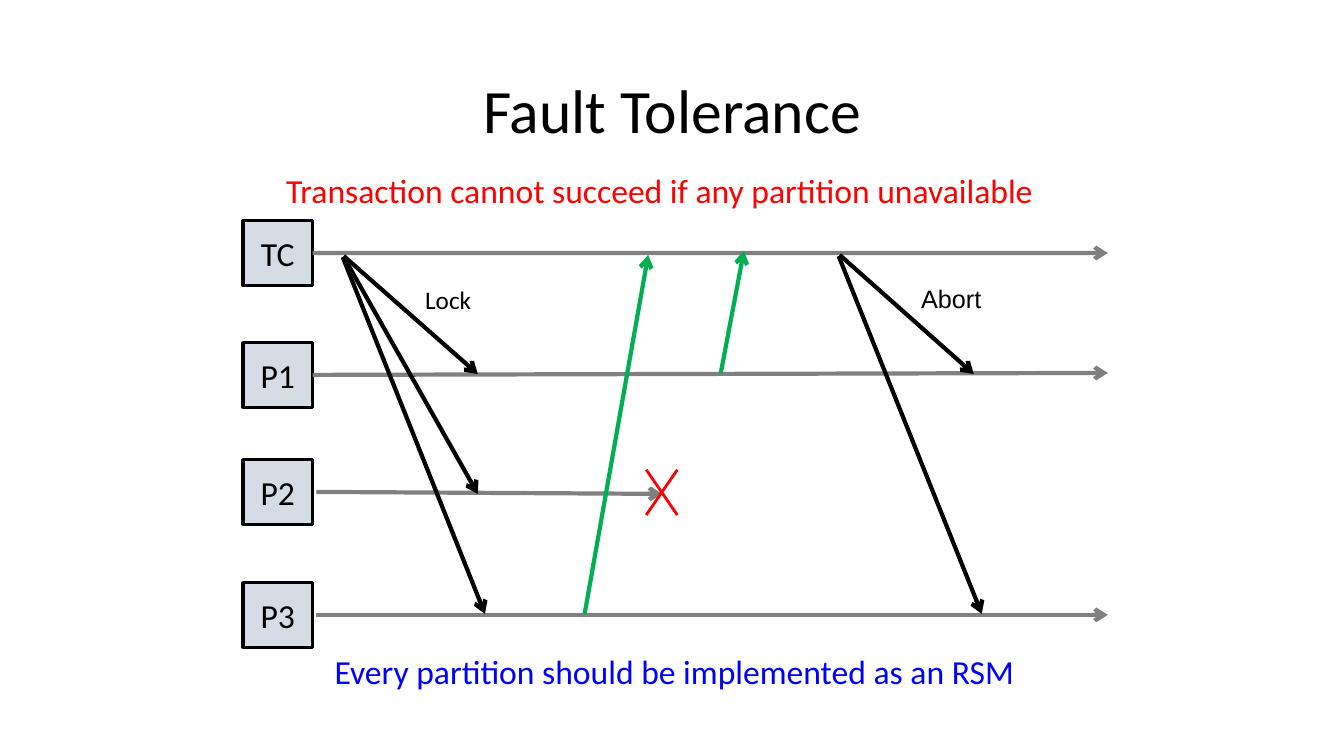
from lxml.etree import SubElement
from pptx import Presentation
from pptx.dml.color import RGBColor
from pptx.enum.shapes import MSO_CONNECTOR, MSO_SHAPE
from pptx.enum.text import MSO_ANCHOR, MSO_AUTO_SIZE, PP_ALIGN
from pptx.oxml.ns import qn
from pptx.util import Inches, Pt

BLACK = RGBColor(0x00, 0x00, 0x00)
GRAY = RGBColor(0x80, 0x80, 0x80)
PALE = RGBColor(0xD6, 0xDC, 0xE5)
GREEN = RGBColor(0x00, 0xB0, 0x50)
RED = RGBColor(0xFF, 0x00, 0x00)
BLUE = RGBColor(0x00, 0x00, 0xFF)

BOX_LEFT, BOX_W, BOX_H = 18.08, 5.18, 8.53
LANE_START, LANE_END = 23.55, 82.43


class Diagram:
    """Draws slide elements, with lengths in percent of the slide's size."""

    def __init__(self, prs):
        self.width, self.height = prs.slide_width, prs.slide_height
        self.slide = prs.slides.add_slide(prs.slide_layouts[6])
        self.font = "Calibri"

    def x(self, share):
        return round(self.width * share / 100)

    def y(self, share):
        return round(self.height * share / 100)

    def frame(self, left, top, width, height):
        return self.x(left), self.y(top), self.x(width), self.y(height)

    def add_text(self, tf, text, size, color, font=None, align=PP_ALIGN.LEFT):
        p = tf.paragraphs[0]
        p.alignment = align
        r = p.add_run()
        r.text = text
        r.font.name = font or self.font
        r.font.size = Pt(size)
        r.font.color.rgb = color
        return p

    def title(self, text, *frame):
        tf = self.slide.shapes.add_textbox(*self.frame(*frame)).text_frame
        tf.word_wrap = True
        tf.vertical_anchor = MSO_ANCHOR.MIDDLE
        p = self.add_text(tf, text, 44, BLACK, align=PP_ALIGN.CENTER)
        p.line_spacing = 0.9

    def label(self, text, frame, size, color, font=None):
        tf = self.slide.shapes.add_textbox(*self.frame(*frame)).text_frame
        tf.word_wrap = False
        tf.auto_size = MSO_AUTO_SIZE.SHAPE_TO_FIT_TEXT
        self.add_text(tf, text, size, color, font)

    def box(self, text, top):
        sp = self.slide.shapes.add_shape(
            MSO_SHAPE.FLOWCHART_PROCESS,
            *self.frame(BOX_LEFT, top, BOX_W, BOX_H))
        sp.shadow.inherit = False
        sp.fill.solid()
        sp.fill.fore_color.rgb = PALE
        sp.line.color.rgb = BLACK
        sp.line.width = Pt(2.25)
        sp.text_frame.vertical_anchor = MSO_ANCHOR.MIDDLE
        self.add_text(sp.text_frame, text, 24, BLACK, align=PP_ALIGN.CENTER)
        return sp

    def line(self, x1, y1, x2, y2, color, width=3, arrow=True, shapes=None):
        shapes = shapes or self.slide.shapes
        cxn = shapes.add_connector(MSO_CONNECTOR.STRAIGHT, self.x(x1),
                                   self.y(y1), self.x(x2), self.y(y2))
        cxn.line.color.rgb = color
        cxn.line.width = Pt(width)
        if arrow:
            ln = cxn.line._get_or_add_ln()
            SubElement(ln, qn("a:tailEnd"), type="arrow")
        SubElement(cxn._element.spPr, qn("a:effectLst"))
        return cxn

    def cross(self, left, top, right, bottom):
        group = self.slide.shapes.add_group_shape()
        for x1, x2 in ((left, right), (right, left)):
            self.line(x1, top, x2, bottom, RED, 2, False, group.shapes)


def main():
    prs = Presentation()
    prs.slide_width, prs.slide_height = Inches(13.33), Inches(7.5)
    d = Diagram(prs)
    d.title("Fault Tolerance", 6.9, 5.33, 86.25, 19.33)

    lanes = [
        ("TC", 29.2, 33.47, 33.47, LANE_END, True),
        ("P1", 45.33, 49.47, 49.33, LANE_END, True),
        ("P2", 60.8, 65.07, 65.33, 49.28, False),
        ("P3", 77.07, 81.33, 81.33, LANE_END, False),
    ]
    for name, top, start_y, end_y, end_x, joined in lanes:
        box = d.box(name, top)
        timeline = d.line(LANE_START, start_y, end_x, end_y, GRAY)
        if joined:
            timeline.begin_connect(box, 3)

    messages = [
        (25.58, 33.87, 35.55, 49.47, BLACK),
        (25.58, 34, 35.55, 65.33, BLACK),
        (25.5, 34, 36.08, 81.2, BLACK),
        (43.5, 81.2, 48.23, 33.73, GREEN),
        (53.63, 49.33, 55.35, 33.2, GREEN),
        (62.48, 33.73, 72.45, 49.47, BLACK),
        (62.4, 33.87, 73.05, 81.2, BLACK),
    ]
    for message in messages:
        d.line(*message)
    d.cross(48.08, 62.13, 50.4, 68.13)

    d.label("Lock", (30.9, 36.93, 5.4, 4.93), 18, BLACK)
    d.label("Abort", (67.8, 36.8, 6, 4.93), 18, BLACK, "Arial")
    d.label("Transaction cannot succeed if any partition unavailable",
            (20.55, 21.87, 62.93, 6.67), 24, RED)
    d.label("Every partition should be implemented as an RSM",
            (24.15, 85.47, 57.68, 6.67), 24, BLUE)
    prs.save("out.pptx")


if __name__ == "__main__":
    main()
